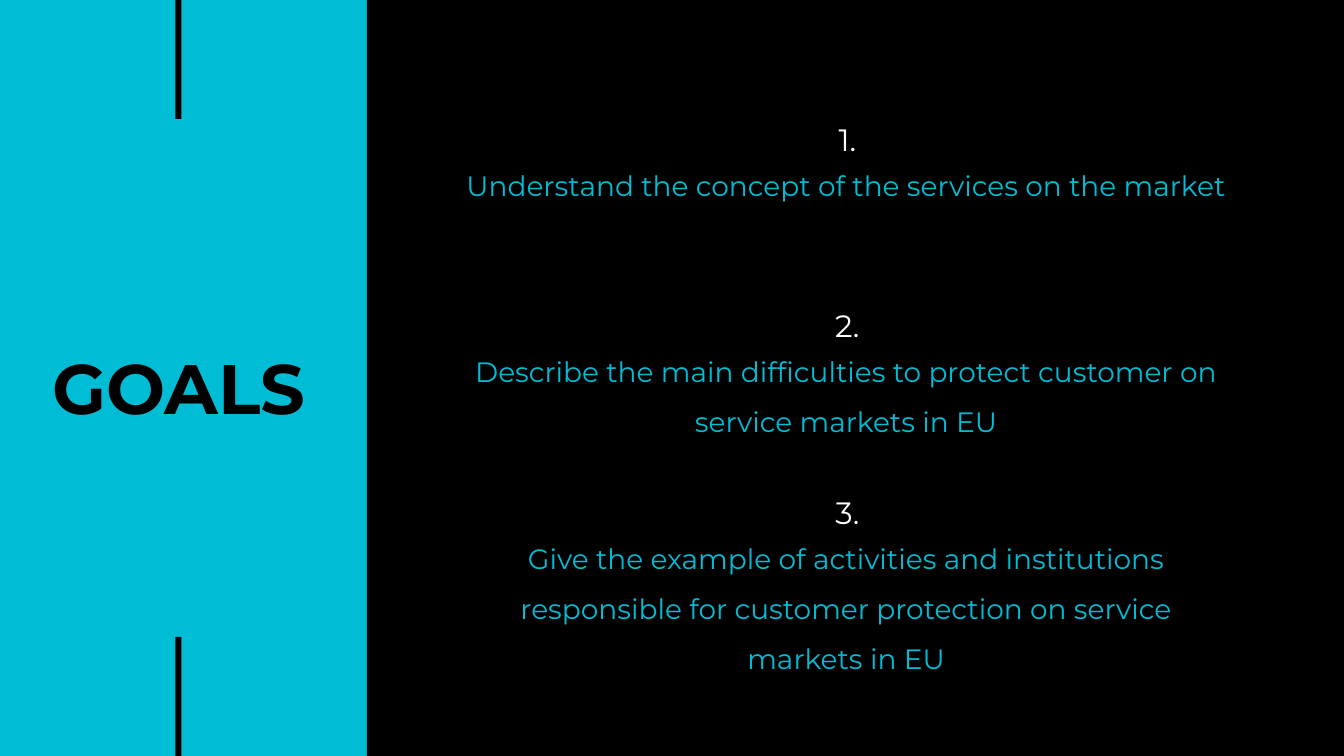
from dataclasses import dataclass

from pptx import Presentation
from pptx.dml.color import RGBColor as Rgb
from pptx.enum.shapes import MSO_SHAPE as Shape
from pptx.enum.text import MSO_ANCHOR as Anchor, PP_ALIGN as Align
from pptx.util import Cm, Pt


@dataclass(frozen=True)
class Theme:
    font: str = "Montserrat"
    cyan: Rgb = Rgb(0x00, 0xBC, 0xD4)
    black: Rgb = Rgb(0x00, 0x00, 0x00)
    white: Rgb = Rgb(0xFF, 0xFF, 0xFF)
    title_size: int = 75
    number_size: int = 33
    goal_size: int = 30


class SlideBuilder:
    def __init__(self, slide, theme):
        self.slide = slide
        self.theme = theme

    def background(self, color):
        fill = self.slide.background.fill
        fill.solid()
        fill.fore_color.rgb = color

    def block(self, left, top, width, height):
        block = self.slide.shapes.add_shape(
            Shape.RECTANGLE, Cm(left), Cm(top), Cm(width), Cm(height))
        block.shadow.inherit = False
        block.fill.solid()
        block.fill.fore_color.rgb = self.theme.black
        block.line.fill.background()

    def text(self, text, left, top, width, height, size, color,
             spacing, bold=False, anchor=Anchor.TOP):
        box = self.slide.shapes.add_textbox(
            Cm(left), Cm(top), Cm(width), Cm(height))
        frame = box.text_frame
        frame.word_wrap = True
        frame.vertical_anchor = anchor
        frame.margin_left = frame.margin_right = 0
        frame.margin_top = frame.margin_bottom = 0
        para = frame.paragraphs[0]
        para.text = text
        para.alignment = Align.CENTER
        para.line_spacing = spacing
        para.font.name = self.theme.font
        para.font.size = Pt(size)
        para.font.bold = bold
        para.font.color.rgb = color

    def goal(self, number, text, top, height):
        theme = self.theme
        left = 17.45
        self.text(f"{number}.", left, top, 29.16, 1.52,
                  theme.number_size, theme.white, 1.4)
        self.text(text, left, top + 1.73, 29.06, height,
                  theme.goal_size, theme.cyan, 1.5)


GOALS = [
    ("Understand the concept of the services on the market", 3.05),
    ("Describe the main difficulties to protect customer on "
     "service markets in EU", 4.65),
    ("Give the example of activities and institutions responsible "
     "for customer protection on service markets in EU", 3.05),
]
PAGE_WIDTH, PAGE_HEIGHT = 50.8, 28.58
BAR_HEIGHT = 4.5
FIRST_GOAL_TOP, GOAL_PITCH = 3.99, 7.05


def main():
    deck = Presentation()
    deck.slide_width, deck.slide_height = Cm(PAGE_WIDTH), Cm(PAGE_HEIGHT)
    theme = Theme()
    page = SlideBuilder(deck.slides.add_slide(deck.slide_layouts[6]), theme)

    page.background(theme.cyan)
    page.text("GOALS", -3.5, 10.9, 20.5, 6.63, theme.title_size,
              theme.black, 1.26, bold=True, anchor=Anchor.MIDDLE)
    page.block(13.87, 0, 37.31, PAGE_HEIGHT)
    for index, (text, height) in enumerate(GOALS):
        page.goal(index + 1, text, FIRST_GOAL_TOP + index * GOAL_PITCH, height)
    for top in (0, PAGE_HEIGHT - BAR_HEIGHT):
        page.block(6.63, top, 0.23, BAR_HEIGHT)

    deck.save("out.pptx")


if __name__ == "__main__":
    main()
